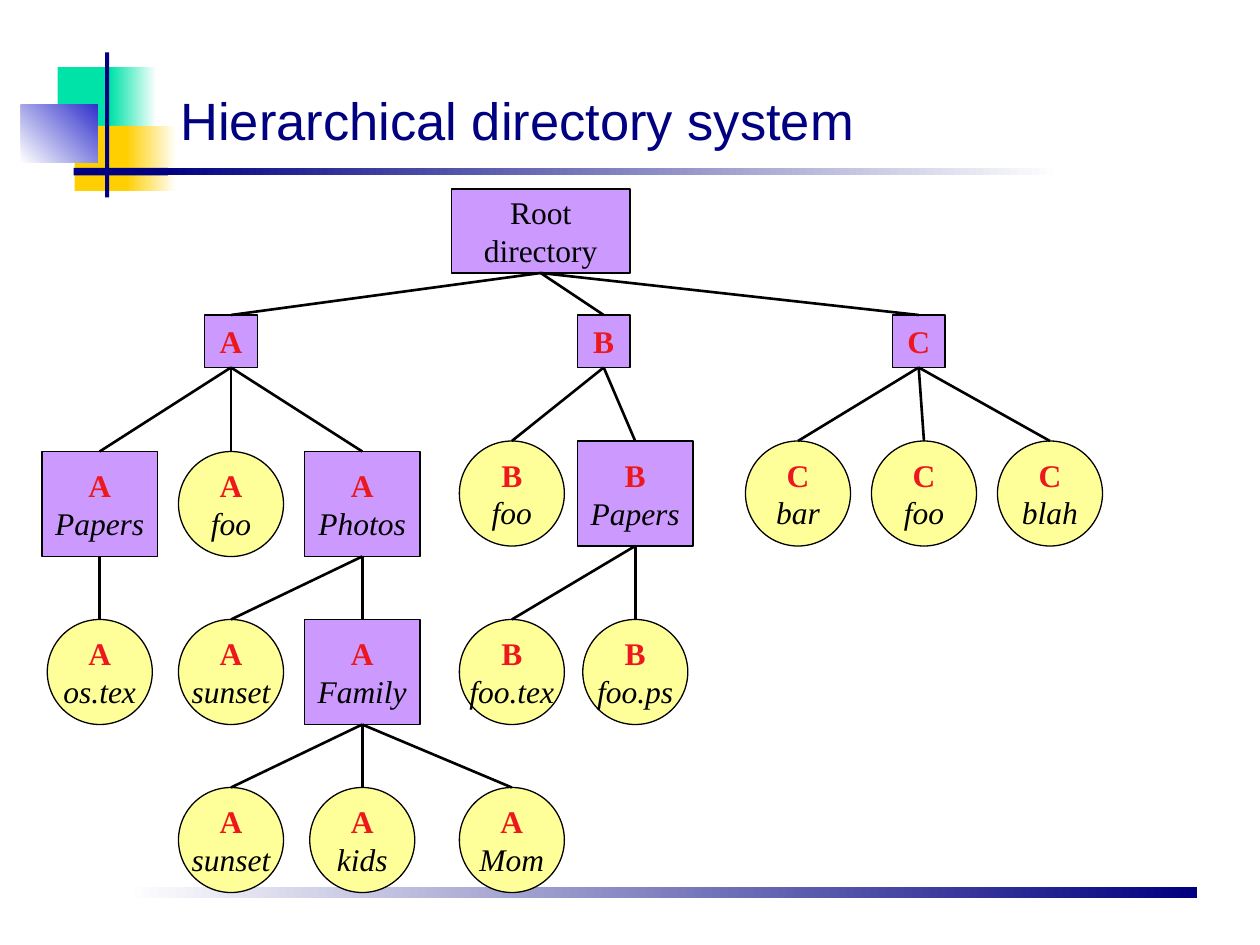
from collections import namedtuple
from dataclasses import dataclass, field
from lxml.etree import SubElement
from pptx import Presentation
from pptx.dml.color import RGBColor as Rgb
from pptx.enum.shapes import MSO_CONNECTOR as Link, MSO_SHAPE as Form
from pptx.enum.text import MSO_ANCHOR as Anchor, PP_ALIGN as Align
from pptx.oxml.ns import qn
from pptx.util import Inches, Pt

CELL = Inches(1) / 12  # the slide is a grid of 120 columns by 90 rows
Box = namedtuple("Box", "x y w h")
Node = namedtuple("Node", "kind lines x y kids", defaults=((),))


@dataclass(frozen=True)
class Theme:
    white: str = "FFFFFF"
    black: str = "000000"
    navy: str = "000080"
    blue: str = "3333CC"
    green: str = "00E3A8"
    gold: str = "FFCF01"
    red: str = "ED181E"
    folder: str = "CC99FF"
    file: str = "FFFF99"
    sans: str = "Arial"
    serif: str = "Times New Roman"
    head: int = 30
    body: int = 18
    edge: float = 0.75
    link: float = 1.5
    sizes: dict = field(default_factory=lambda: {
        "root": (17, 8), "user": (5, 5), "folder": (11, 10), "file": (10, 10)})


T = Theme()


def grid(*cells):
    return [round(c * CELL) for c in cells]


def sub(box, x, y, w, h):
    return Box(box.x + x, box.y + y, w, h)


def write(frame, lines, size=T.body, font=T.serif, align=Align.LEFT,
          anchor=Anchor.MIDDLE, wrap=False, soft=False):
    """Fill a frame with (words, format) lines; soft keeps them in one paragraph."""
    frame.word_wrap, frame.vertical_anchor = wrap, anchor
    para = frame.paragraphs[0]
    for i, (words, look) in enumerate(lines):
        if i and soft:
            para.add_line_break()
        elif i:
            para = frame.add_paragraph()
        para.alignment = align
        run = para.add_run()
        run.text = words
        run.font.size, run.font.name = Pt(size), font
        run.font.bold = look.get("bold", False)
        run.font.italic = look.get("italic", False)
        run.font.color.rgb = Rgb.from_string(look.get("color", T.black))


def block(slide, box, fill, end=None, angle=0, form=Form.RECTANGLE, edge=None):
    """Add a shape; an end colour turns its fill into a gradient."""
    shape = slide.shapes.add_shape(form, *grid(*box))
    shape.shadow.inherit = False
    if end:
        shape.fill.gradient()
        shape.fill.gradient_angle = angle
        for stop, color in zip(shape.fill.gradient_stops, (fill, end)):
            stop.color.rgb = Rgb.from_string(color)
    else:
        shape.fill.solid()
        shape.fill.fore_color.rgb = Rgb.from_string(fill)
    if edge:
        shape.line.color.rgb = Rgb.from_string(T.black)
        shape.line.width = Pt(edge)
    else:
        shape.line.fill.background()
    return shape


def motif(slide, box):
    """Draw the coloured squares and the crossed bars beside the title."""
    parts = [
        ((3.5, 1.4, 5.8, 6.2), T.green),
        ((8.5, 1.4, 4.4, 6.2), T.green, T.white),
        ((5.1, 7, 5.5, 6.2), T.gold),
        ((10, 7, 4.8, 6.2), T.gold, T.white),
        ((0, 5, 7.3, 5.5), T.white, T.blue, 45),
        ((8, 0, 0.4, box.h), T.navy),
        ((5, 11, 9, 0.7), T.navy),
        ((13, 11, box.w - 13, 0.7), T.navy, T.white),
    ]
    for spot, *paint in parts:
        block(slide, sub(box, *spot), *paint)


def title(slide, box, words):
    frame = slide.shapes.add_textbox(*grid(*box)).text_frame
    write(frame, [(words, {"color": T.navy})], size=T.head, font=T.sans,
          anchor=Anchor.BOTTOM, wrap=True)


def join(slide, start, stop):
    line = slide.shapes.add_connector(Link.STRAIGHT, *grid(*start, *stop))
    line.line.color.rgb = Rgb.from_string(T.black)
    line.line.width = Pt(T.link)
    SubElement(line._element.spPr, qn("a:effectLst"))


def tree(slide, box, node):
    """Draw a node and all below it; node x is its centre, node y its top."""
    w, h = T.sizes[node.kind]
    leaf = node.kind == "file"
    shape = block(slide, sub(box, node.x - w / 2, node.y, w, h),
                  T.file if leaf else T.folder, edge=T.edge,
                  form=Form.OVAL if leaf else Form.RECTANGLE)
    if node.kind == "root":
        looks = [{}, {}]
    else:
        looks = [{"color": T.red, "bold": True}, {"italic": True}]
    write(shape.text_frame, list(zip(node.lines, looks)), align=Align.CENTER,
          soft=node.kind in ("root", "file"))
    for kid in node.kids:
        tree(slide, box, kid)
        join(slide, (box.x + node.x, box.y + node.y + h),
             (box.x + kid.x, box.y + kid.y))


def plan():
    """Lay out the directories: columns left to right, rows top to bottom."""
    a, b, c, d = 5.5, 18, 30.5, 44.75
    e = 56.5
    top, users, high, low, mid, base = 0, 12, 24, 25, 41, 57

    def file(owner, name, x, y):
        return Node("file", (owner, name), x, y)

    def folder(owner, name, x, y, *kids):
        return Node("folder", (owner, name), x, y, kids)

    def user(name, x, *kids):
        return Node("user", (name,), x, users, kids)

    family = folder("A", "Family", c, mid, file("A", "sunset", b, base),
                    file("A", "kids", c, base), file("A", "Mom", d, base))
    return Node("root", ("Root", "directory"), 47.5, top, (
        user("A", b,
             folder("A", "Papers", a, low, file("A", "os.tex", a, mid)),
             file("A", "foo", b, low),
             folder("A", "Photos", c, low, file("A", "sunset", b, mid), family)),
        user("B", 53.5,
             file("B", "foo", d, high),
             folder("B", "Papers", e, high, file("B", "foo.tex", d, mid),
                    file("B", "foo.ps", e, mid))),
        user("C", 83.5, *(file("C", name, 72 + 12 * i, high)
                          for i, name in enumerate(("bar", "foo", "blah"))))))


def main():
    deck = Presentation()
    deck.slide_width, deck.slide_height = grid(120, 90)
    slide = deck.slides.add_slide(deck.slide_layouts[6])
    block(slide, Box(12, 84.5, 102, 1), T.white, T.navy)
    motif(slide, Box(2, 5, 99, 13.8))
    title(slide, Box(16, 7, 102, 8), "Hierarchical directory system")
    tree(slide, Box(4, 18, 102, 67), plan())
    deck.save("out.pptx")


if __name__ == "__main__":
    main()
